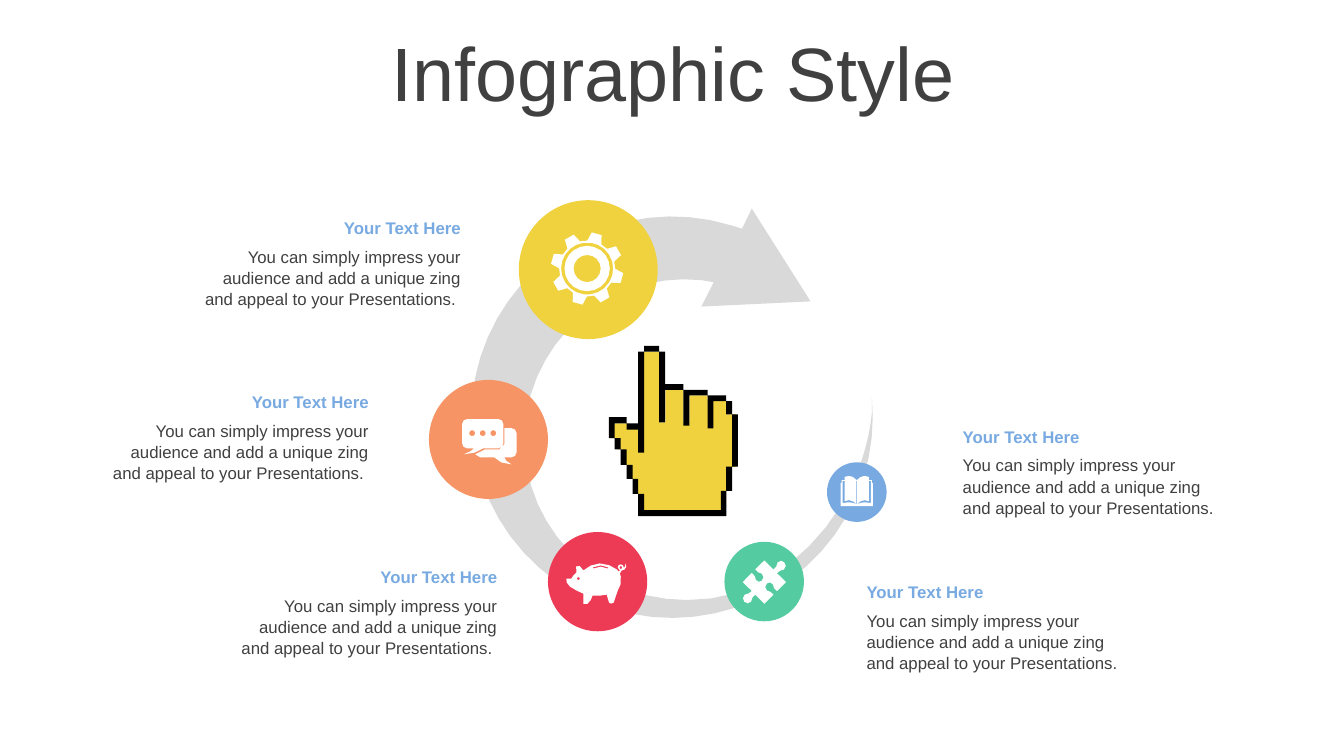
import math
from dataclasses import dataclass

import pptx
import pptx.dml.color
import pptx.enum.shapes
import pptx.enum.text
import pptx.util

Point = tuple[float, float]
Contour = list[Point]

YELLOW = "F0D23F"
WHITE = "FFFFFF"
DARK = "404040"
BLUE = "78AAE1"
LEFT = pptx.enum.text.PP_ALIGN.LEFT
CENTER = pptx.enum.text.PP_ALIGN.CENTER
RIGHT = pptx.enum.text.PP_ALIGN.RIGHT
BODY = "You can simply impress your audience and add a unique zing and appeal to your Presentations."


@dataclass
class Stage:
    left: float
    top: float
    diameter: float
    color: str


@dataclass
class Icon:
    left: float
    top: float
    contours: list[Contour]
    color: str = WHITE


@dataclass
class Callout:
    left: float
    top: float
    align: pptx.enum.text.PP_ALIGN


def arc(cx: float, cy: float, radius: float, start: float, end: float) -> Contour:
    steps = max(2, round(5 * math.sqrt(radius) * abs(end - start) / 360))
    angles = [math.radians(start + (end - start) * i / steps) for i in range(steps + 1)]
    return [(cx + radius * math.cos(a), cy + radius * math.sin(a)) for a in angles]


def circle(cx: float, cy: float, radius: float) -> Contour:
    return arc(cx, cy, radius, 0, 360)[:-1]


def bezier(a: Point, b: Point, c: Point, d: Point, steps: int = 8) -> Contour:
    points = []
    for i in range(steps + 1):
        t = i / steps
        weights = ((1 - t) ** 3, 3 * t * (1 - t) ** 2, 3 * t * t * (1 - t), t ** 3)
        points.append(tuple(sum(w * p[axis] for w, p in zip(weights, (a, b, c, d)))
                            for axis in (0, 1)))
    return points


def box(left: float, top: float, right: float, bottom: float) -> Contour:
    return [(left, top), (right, top), (right, bottom), (left, bottom)]


def paint(shape, color: str) -> None:
    shape.shadow.inherit = False
    shape.fill.solid()
    shape.fill.fore_color.rgb = pptx.dml.color.RGBColor.from_string(color)
    shape.line.fill.background()


def draw_icon(slide, icon: Icon) -> None:
    builder = None
    for contour in icon.contours:
        points = [(pptx.util.Pt(icon.left + x), pptx.util.Pt(icon.top + y)) for x, y in contour]
        if builder is None:
            builder = slide.shapes.build_freeform(*points[0], scale=1.0)
        else:
            builder.move_to(*points[0])
        builder.add_line_segments(points[1:], close=True)
    paint(builder.convert_to_shape(), icon.color)


def draw_stage(slide, stage: Stage) -> None:
    oval = pptx.enum.shapes.MSO_SHAPE.OVAL
    left, top, size = map(pptx.util.Pt, (stage.left, stage.top, stage.diameter))
    paint(slide.shapes.add_shape(oval, left, top, size, size), stage.color)


def draw_text(slide, left: float, top: float, width: float, height: float, text: str,
              size: float, color: str, align, spacing: float = 1.0, bold: bool = False):
    area = map(pptx.util.Pt, (left, top, width, height))
    frame = slide.shapes.add_textbox(*area).text_frame
    frame.word_wrap = True
    paragraph = frame.paragraphs[0]
    paragraph.text = text
    paragraph.alignment = align
    paragraph.line_spacing = spacing
    paragraph.font.name = "Arial"
    paragraph.font.size = pptx.util.Pt(size)
    paragraph.font.bold = bold
    paragraph.font.color.rgb = pptx.dml.color.RGBColor.from_string(color)
    return frame


def draw_callout(slide, callout: Callout) -> None:
    body = BODY + " " if callout.align == RIGHT else BODY
    draw_text(slide, callout.left, callout.top, 207.4, 21.6, "Your Text Here", 12, BLUE,
              callout.align, bold=True)
    draw_text(slide, callout.left, callout.top + 19.8, 207.4, 51.1, body, 12, DARK,
              callout.align, spacing=1.05)


def gear_rim() -> Contour:
    rim = []
    for tooth in range(8):
        for offset, radius in ((-15, 20), (-8, 26), (8, 26), (15, 20)):
            angle = math.radians(-74.6 + 45 * tooth + offset)
            rim.append((radius * math.cos(angle), radius * math.sin(angle)))
    return rim


ring = ([(530, 163.4), (537, 149), (579, 215.3), (501, 219), (509.8, 201.6)]
        + arc(489, 314, 114.5, -84, -270)
        + bezier((494, 428.4), (531, 429), (574, 404.6), (600.5, 361.4))
        + bezier((600.5, 361.4), (613.4, 339.8), (620.6, 316.8), (622.8, 295.2))
        + [(622.8, 283.7)] + arc(480, 298, 143.4, 0, 287))

book_cover = [(0, 5), (0.7, 5), (0.7, 3), (2.9, 3), (2.9, 0.7), (5.8, 0), (8.6, 0.7), (11.5, 3)]
page_gap = [(1.4, 3.6), (2.9, 3.6), (2.9, 18), (6, 17.3), (9, 18.2), (11.5, 20.2),
            (8.6, 19.2), (5.5, 18.8), (1.4, 19.4)]
book = [book_cover + [(23 - x, y) for x, y in reversed(book_cover)] + [(23, 21.6), (0, 21.6)],
        page_gap, [(23 - x, y) for x, y in page_gap], box(11.2, 3.6, 11.8, 20)]

pig_body = [
    (23.8, 0), (30.5, 1.2), (36, 4.3), (37.4, 5.8), (38.2, 5), (36.7, 2.9), (37.3, 1.3),
    (38.9, 0.7), (40.4, 1.3), (41, 2.9), (40.5, 3.8), (41.7, 2.5), (42.5, 0), (42.7, 2.5),
    (41.5, 4.4), (39.6, 5), (38.2, 7.2), (38.9, 9.4), (38.7, 15), (36.7, 19.4), (33.8, 28),
    (32, 28.7), (30.5, 28), (28.8, 22.3), (24, 23), (18.7, 23), (17.5, 26), (15.1, 28.8),
    (12.2, 28.8), (12.2, 21.6), (7.5, 19.5), (2.5, 16.5), (0.2, 13.5), (0, 10.8), (3.6, 10.8),
    (5, 8.6), (7.2, 6.5), (7, 2.2), (9.5, 1.8), (12.2, 5), (17.5, 1.5)]
coin_slot = [(18.7, 2.9), (24.5, 1.4), (30.2, 2.9), (29.5, 3.6), (24.5, 2.3), (19.4, 3.6)]
pig = [pig_body, coin_slot, circle(8.6, 10.8, 1.1), circle(38.9, 2.9, 1.1)]

puzzle_half = [
    (15.5, 0), (9, 6.5), (7, 4.5), (6, 1.5), (4, 0.2), (1.8, 1), (0.6, 3.5), (1.8, 6),
    (4.5, 7), (6.5, 9), (0, 15.5), (-6.5, 9), (-8.5, 11), (-9.5, 14), (-12, 15.2),
    (-14.3, 14), (-15.3, 11.5), (-14, 9), (-11, 8), (-9, 6.3)]
puzzle = [puzzle_half + [(-x, -y) for x, y in puzzle_half]]

front_bubble = (arc(3.6, 3.6, 3.6, 180, 270) + arc(25.9, 3.6, 3.6, 270, 360)
                + arc(25.9, 17.3, 3.6, 0, 90)
                + [(15.1, 20.9), (9, 24), (1.4, 25.2), (6, 23), (8.6, 20.9)]
                + arc(3.6, 17.3, 3.6, 90, 180))
back_bubble = ([(30.2, 6.5)] + arc(35.3, 10.1, 3.6, 270, 360) + arc(35.3, 23.8, 3.6, 0, 90)
               + [(30.2, 27.4), (31.5, 29.8), (35.3, 32.4), (28, 31), (23, 27.4), (13, 27.4),
                  (9.4, 25.2), (16.6, 21.6), (26.6, 21.6), (30.2, 18)])
chat = [front_bubble, back_bubble] + [circle(7.2 + 7.55 * i, 10.1, 2.2) for i in range(3)]

gear = [gear_rim(), circle(0, 0, 18.6), circle(0, 0, 16.2), circle(0, 0, 9.7)]

hand_fill = [
    (25.2, 4.2), (36, 4.2), (36, 54.7), (40.3, 54.7), (40.3, 31.5), (53.3, 31.5), (53.3, 54.7),
    (57.5, 54.7), (57.5, 35.4), (70.5, 35.4), (70.5, 39), (83.7, 39), (83.7, 49), (91, 49),
    (91, 86.4), (83.7, 86.4), (83.7, 103.7), (82, 103.7), (82, 118), (24, 118), (24, 105.8),
    (21, 105.8), (21, 95), (16, 95), (16, 85), (10, 85), (10, 74), (6.5, 74), (6.5, 66),
    (1, 66), (1, 55.4), (13.7, 55.4), (13.7, 57), (24, 57), (24, 54.7), (25.2, 54.7)]
hand_edges = [
    (25.2, 0, 36, 4.2), (21, 4.2, 25.2, 76.3), (36, 4.2, 40.3, 54.7), (40.3, 27.4, 53.3, 31.5),
    (53.3, 31.5, 57.5, 57), (57.5, 31.5, 70.5, 35.4), (70.5, 35.4, 74.7, 59),
    (74.7, 35.4, 83.7, 39.6), (83.7, 39.6, 88, 49), (88, 49, 92.2, 86.4), (83.7, 86.4, 88, 103.7),
    (80, 103.7, 84, 121.7), (25.2, 117.4, 80, 121.7), (21, 105.8, 25.2, 121.7),
    (17, 95, 21, 105.8), (12.8, 85, 17, 95), (8.4, 74, 12.8, 85), (4.2, 66, 8.4, 74),
    (0, 51, 4.2, 66), (4.2, 51, 12.8, 55.4), (12.8, 55.4, 21, 59.8)]

stages = [Stage(517.5, 387, 56.8, "54CBA0"), Stage(391.4, 380, 70.9, "ED3B55"),
          Stage(306.4, 271.4, 85, "F79465"), Stage(370.6, 143, 99.2, YELLOW),
          Stage(590.7, 330.2, 42.6, BLUE)]
icons = [Icon(600.5, 340, book), Icon(404.6, 402.5, pig), Icon(546, 415.8, puzzle),
         Icon(330.1, 299.3, chat), Icon(419.4, 191.8, gear),
         Icon(434.9, 247, [hand_fill], YELLOW),
         Icon(434.9, 247, [box(*edge) for edge in hand_edges], "000000")]
callouts = [Callout(128.9, 152, RIGHT), Callout(63.1, 276.5, RIGHT), Callout(154.9, 401.4, RIGHT),
            Callout(611.9, 412.2, LEFT), Callout(680.6, 301, LEFT)]


def main() -> None:
    deck = pptx.Presentation()
    deck.slide_width, deck.slide_height = pptx.util.Pt(960), pptx.util.Pt(540)
    slide = deck.slides.add_slide(deck.slide_layouts[6])
    title = draw_text(slide, 25.2, 26.6, 911.5, 56.9, "Infographic Style", 54, DARK, CENTER, 0.9)
    title.vertical_anchor = pptx.enum.text.MSO_ANCHOR.MIDDLE
    draw_icon(slide, Icon(0, 0, [ring], "D9D9D9"))
    for stage in stages:
        draw_stage(slide, stage)
    for icon in icons:
        draw_icon(slide, icon)
    for callout in callouts:
        draw_callout(slide, callout)
    deck.save("out.pptx")


if __name__ == "__main__":
    main()
